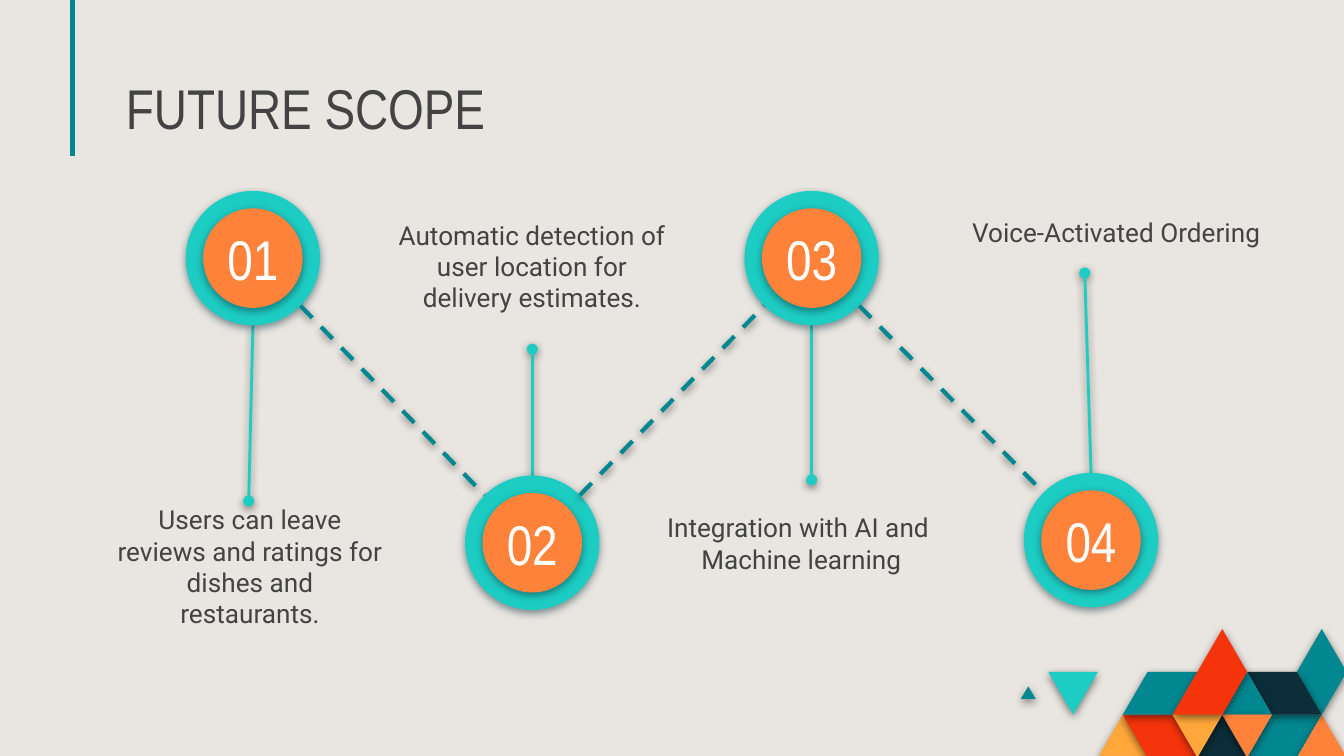
from lxml.etree import SubElement
from pptx import Presentation
from pptx.dml.color import RGBColor
from pptx.enum.dml import MSO_LINE
from pptx.enum.shapes import MSO_CONNECTOR, MSO_SHAPE
from pptx.enum.text import MSO_ANCHOR, PP_ALIGN
from pptx.oxml.ns import qn
from pptx.util import Cm, Pt

TITLE = "FUTURE SCOPE"
STEPS = [
    {"no": "01", "y": 4.88, "tip": (4.70, 9.47), "box": (1.93, 9.27, 5.59, 1.47),
     "text": ["Users can leave reviews and ratings for dishes and restaurants."]},
    {"no": "02", "y": 10.26, "tip": (10.06, 6.60), "box": (7.26, 3.89, 5.59, 1.73),
     "text": ["Automatic detection of user location for delivery estimates."]},
    {"no": "03", "y": 4.88, "tip": (15.34, 9.07), "box": (12.12, 9.42, 6.05, 1.47),
     "text": ["Integration with AI and ", "Machine learning"]},
    {"no": "04", "y": 10.21, "tip": (20.50, 5.16), "box": (17.35, 3.84, 7.49, 1.73),
     "text": ["Voice-Activated Ordering"]},
]
TILES = [
    ("amber", [(0, 3), (1, 2), (2, 3)]),
    ("red", [(1, 2), (3, 2), (4, 3), (2, 3)]),
    ("teal", [(6, 3), (7, 2), (9, 2), (8, 3)]),
    ("orange", [(8, 3), (9, 2), (10, 3)]),
    ("navy", [(4, 3), (5, 2), (6, 3)]),
    ("teal", [(1, 2), (2, 1), (4, 1), (3, 2)]),
    ("teal", [(-3.1, 1.63), (-2.8, 1.34), (-2.5, 1.63)]),
    ("aqua", [(-2, 1), (0, 1), (-1, 2)]),
    ("teal", [(8, 1), (9, 0), (10, 1), (9, 2)]),
    ("navy", [(6, 1), (8, 1), (9, 2), (7, 2)]),
    ("teal", [(5, 2), (6, 1), (7, 2)]),
    ("orange", [(5, 2), (7, 2), (6, 3)]),
    ("amber", [(3, 2), (5, 2), (4, 3)]),
    ("red", [(3, 2), (5, 0), (6, 1), (5, 2)]),
]
HEX = {"back": "E9E6E1", "ink": "434343", "white": "FFFFFF", "black": "000000",
       "teal": "018790", "aqua": "1DCDC3", "orange": "FF823B", "amber": "FFA73B",
       "red": "F5340B", "navy": "0C2E3A"}
HEAD = {"name": "Arial Narrow", "size": Pt(30)}
BODY = {"name": "Roboto", "size": Pt(14)}
FRAME = {"word_wrap": True, "margin_left": Cm(0.25), "margin_right": Cm(0.25),
         "margin_top": Cm(0.25), "margin_bottom": Cm(0.25)}
LEFT, PITCH = 4.78, 5.28
OUTER, INNER = 2.54, 1.88
TILE_X, TILE_Y, COL, ROW = 20.75, 11.89, 0.47, 0.81


def tint(name):
    return RGBColor.from_string(HEX[name])


def apply(obj, props):
    for key, val in props.items():
        setattr(obj, key, val)


def shade(shape, name=None):
    effect = SubElement(shape._element.spPr, qn("a:effectLst"))
    if name:
        cast = SubElement(effect, qn("a:outerShdw"), blurRad="57150", dist="19050",
                          dir="5400000", algn="bl", rotWithShape="0")
        hue = SubElement(cast, qn("a:srgbClr"), val=HEX[name])
        SubElement(hue, qn("a:alpha"), val="50000")


def paint(shape, name, cast):
    shape.fill.solid()
    shape.fill.fore_color.rgb = tint(name)
    shape.line.fill.background()
    shade(shape, cast)


def link(slide, start, end, name, width, cast="black", dash=None, dot=False):
    line = slide.shapes.add_connector(
        MSO_CONNECTOR.STRAIGHT, *(Cm(v) for v in (*start, *end)))
    line.line.color.rgb = tint(name)
    apply(line.line, {"width": Pt(width), "dash_style": dash})
    if dot:
        SubElement(line.line._ln, qn("a:tailEnd"), type="oval")
    shade(line, cast)


def write(shape, lines, font, name, anchor, para):
    frame = shape.text_frame
    frame.text = "\n".join(lines)
    apply(frame, {**FRAME, "vertical_anchor": anchor})
    for part in frame.paragraphs:
        apply(part, para)
        for run in part.runs:
            apply(run.font, font)
            run.font.color.rgb = tint(name)


def label(slide, box, lines, font, name, anchor):
    shape = slide.shapes.add_textbox(*(Cm(v) for v in box))
    write(shape, lines, font, name, anchor, {"alignment": PP_ALIGN.CENTER})


def badge(slide, x, y, text):
    for size, name in ((OUTER, "aqua"), (INNER, "orange")):
        box = (x - size / 2, y - size / 2, size, size)
        disc = slide.shapes.add_shape(MSO_SHAPE.OVAL, *(Cm(v) for v in box))
        paint(disc, name, "navy")
    label(slide, (x - 0.82, y - 0.8, 1.64, 1.6), [text], HEAD, "white", MSO_ANCHOR.MIDDLE)


def mosaic(slide):
    for name, cells in TILES:
        spots = [(Cm(TILE_X + c * COL), Cm(TILE_Y + r * ROW)) for c, r in cells]
        form = slide.shapes.build_freeform(*spots[0])
        form.add_line_segments(spots[1:], close=True)
        paint(form.convert_to_shape(), name, "black")


def main():
    """Build the future scope slide with four linked steps."""
    deck = Presentation()
    apply(deck, {"slide_width": Cm(25.4), "slide_height": Cm(14.29)})
    slide = deck.slides.add_slide(deck.slide_layouts[5])
    slide.background.fill.solid()
    slide.background.fill.fore_color.rgb = tint("back")

    title = slide.shapes.title
    apply(title, {"left": Cm(2.13), "top": Cm(1.3), "width": Cm(10.57), "height": Cm(1.6)})
    write(title, [TITLE], HEAD, "ink", MSO_ANCHOR.BOTTOM,
          {"alignment": PP_ALIGN.LEFT, "line_spacing": 0.8})
    link(slide, (1.37, 0), (1.37, 2.95), "teal", 2.25, cast=None)
    mosaic(slide)

    spots = [(LEFT + i * PITCH, step["y"]) for i, step in enumerate(STEPS)]
    for (x, y), step in zip(spots, STEPS):
        side = 1 if step["tip"][1] > y else -1
        link(slide, (x, y + side * OUTER / 2), step["tip"], "aqua", 1.5, dot=True)
    for (x, y), step in zip(spots, STEPS):
        badge(slide, x, y, step["no"])
        label(slide, step["box"], step["text"], BODY, "ink", MSO_ANCHOR.TOP)

    edge = OUTER / 2 * 0.71
    for (x, y), (u, v) in zip(spots, spots[1:]):
        drop = edge if v > y else -edge
        link(slide, (x + edge, y + drop), (u - edge, v - drop), "teal", 2.25,
             dash=MSO_LINE.DASH)
    deck.save("out.pptx")


if __name__ == "__main__":
    main()
